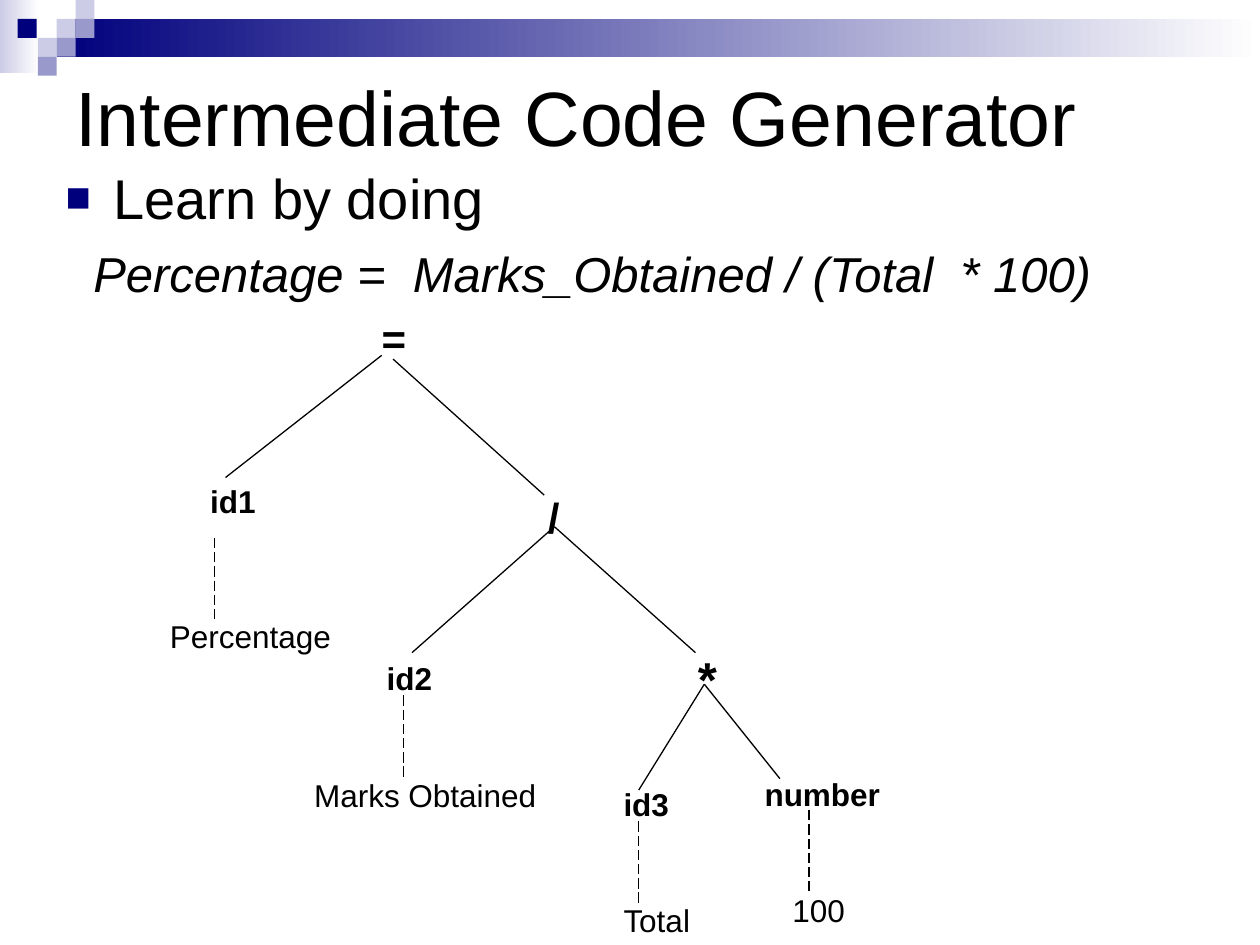
from lxml.etree import SubElement
from pptx import Presentation
from pptx.dml.color import RGBColor
from pptx.enum.dml import MSO_LINE
from pptx.enum.shapes import MSO_CONNECTOR, MSO_SHAPE
from pptx.enum.text import MSO_ANCHOR, MSO_AUTO_SIZE, PP_ALIGN
from pptx.oxml.ns import qn
from pptx.util import Inches, Pt

TITLE = "Intermediate Code Generator"
TASK = "Learn by doing"
FORMULA = "Percentage =  Marks_Obtained / (Total  * 100)"

BLACK, NAVY, LILAC, PALE, WHITE = "000000", "00007D", "9999CC", "CCCCE6", "FFFFFF"
SQUARE = 0.15
BANDS = [
    (0, 0, 0.31, 0.58, PALE),
    (0.45, 0.15, 9.55, 0.3, NAVY),
]
SQUARES = [
    (0.45, 0.15, PALE), (0.6, 0, PALE), (0.6, 0.15, LILAC), (0.3, 0.3, PALE),
    (0.14, 0.15, NAVY), (0.45, 0.3, LILAC), (0.3, 0.45, LILAC),
]

OPERATORS = [
    ("=", 2.93, 2.43, 0.86, 24),
    ("/", 4.25, 3.85, 0.67, 24),
    ("*", 5.44, 5.1, 0.82, 28),
]
TOKENS = [
    ("id1", 1.57, 3.78, 1.48),
    ("id2", 2.97, 5.18, 0.75),
    ("id3", 4.85, 6.18, 0.75),
    ("number", 5.97, 6.1, 1.2),
]
VALUES = [
    ("Percentage", 1.25, 4.85, 1.5, PP_ALIGN.LEFT),
    ("Marks Obtained", 2.25, 6.11, 2.25, PP_ALIGN.CENTER),
    ("Total", 4.85, 7.1, 1.05, PP_ALIGN.LEFT),
    ("100", 6.19, 7.02, 0.75, PP_ALIGN.LEFT),
]
BRANCHES = [
    (3.03, 2.82, 1.79, 3.79), (3.12, 2.85, 4.32, 3.93),
    (4.4, 4.18, 3.27, 5.18), (4.4, 4.18, 5.52, 5.18),
    (5.59, 5.43, 5.07, 6.27), (5.59, 5.43, 6.19, 6.18),
]
VALUE_LINKS = [(1.7, 4.27), (3.2, 5.52), (5.07, 6.52), (6.42, 6.43)]
LINK_LENGTH = 0.66


def rgb(code):
    return RGBColor.from_string(code)


def place(shape, left, top, width, height):
    shape.left, shape.top = Inches(left), Inches(top)
    shape.width, shape.height = Inches(width), Inches(height)


def style(paragraph, size, bold=False, italic=False, align=PP_ALIGN.LEFT, before=0):
    paragraph.alignment = align
    paragraph.space_before = Pt(before)
    for run in paragraph.runs:
        font = run.font
        font.name, font.size = "Arial", Pt(size)
        font.bold, font.italic = bold, italic
        font.color.rgb = rgb(BLACK)


def indent(paragraph, margin, first):
    props = paragraph._p.get_or_add_pPr()
    props.set("marL", str(Inches(margin)))
    props.set("indent", str(Inches(first)))
    return props


def add_block(left, top, width, height, color, fade=False):
    block = slide.shapes.add_shape(
        MSO_SHAPE.RECTANGLE, Inches(left), Inches(top), Inches(width), Inches(height))
    block.shadow.inherit = False
    block.line.fill.background()
    if fade:
        block.fill.gradient()
        block.fill.gradient_angle = 0
        for stop, shade in zip(block.fill.gradient_stops, (color, WHITE)):
            stop.color.rgb = rgb(shade)
    else:
        block.fill.solid()
        block.fill.fore_color.rgb = rgb(color)


def add_label(text, left, top, width, size=18, bold=True, align=PP_ALIGN.LEFT):
    height = size * 1.2 / 72 + 0.1
    label = slide.shapes.add_textbox(
        Inches(left), Inches(top), Inches(width), Inches(height))
    frame = label.text_frame
    frame.word_wrap = True
    frame.text = text
    style(frame.paragraphs[0], size, bold=bold, align=align)


def add_line(x1, y1, x2, y2, dash=None):
    line = slide.shapes.add_connector(
        MSO_CONNECTOR.STRAIGHT, Inches(x1), Inches(y1), Inches(x2), Inches(y2))
    line.line.color.rgb = rgb(BLACK)
    line.line.width = Pt(0.75)
    if dash:
        line.line.dash_style = dash
    SubElement(line._element.spPr, qn("a:effectLst"))


deck = Presentation()
deck.slide_width, deck.slide_height = Inches(10), Inches(7.5)
slide = deck.slides.add_slide(deck.slide_layouts[1])

for band in BANDS:
    add_block(*band, fade=True)
for left, top, color in SQUARES:
    add_block(left, top, SQUARE, SQUARE, color)

title, body = slide.shapes.title, slide.placeholders[1]
place(title, 0.5, 0.5, 9, 0.83)
place(body, 0.42, 1.25, 9, 1.25)
for holder in (title, body):
    holder.text_frame.auto_size = MSO_AUTO_SIZE.NONE

title.text_frame.text = TITLE
title.text_frame.vertical_anchor = MSO_ANCHOR.MIDDLE
style(title.text_frame.paragraphs[0], 44)

body.text_frame.text = TASK
task = body.text_frame.paragraphs[0]
bullet = indent(task, 0.38, -0.38)
SubElement(SubElement(bullet, qn("a:buClr")), qn("a:srgbClr"), val=NAVY)
SubElement(bullet, qn("a:buSzPct"), val="75000")
SubElement(bullet, qn("a:buChar"), char="■")
style(task, 32)

formula = body.text_frame.add_paragraph()
formula.text = FORMULA
SubElement(indent(formula, 0.22, 0), qn("a:buNone"))
style(formula, 28, italic=True, before=7)

for branch in BRANCHES:
    add_line(*branch)
for x, y in VALUE_LINKS:
    add_line(x, y, x, y + LINK_LENGTH, MSO_LINE.LONG_DASH)
for operator in OPERATORS:
    add_label(*operator)
for token in TOKENS:
    add_label(*token)
for text, left, top, width, align in VALUES:
    add_label(text, left, top, width, bold=False, align=align)

deck.save("out.pptx")
